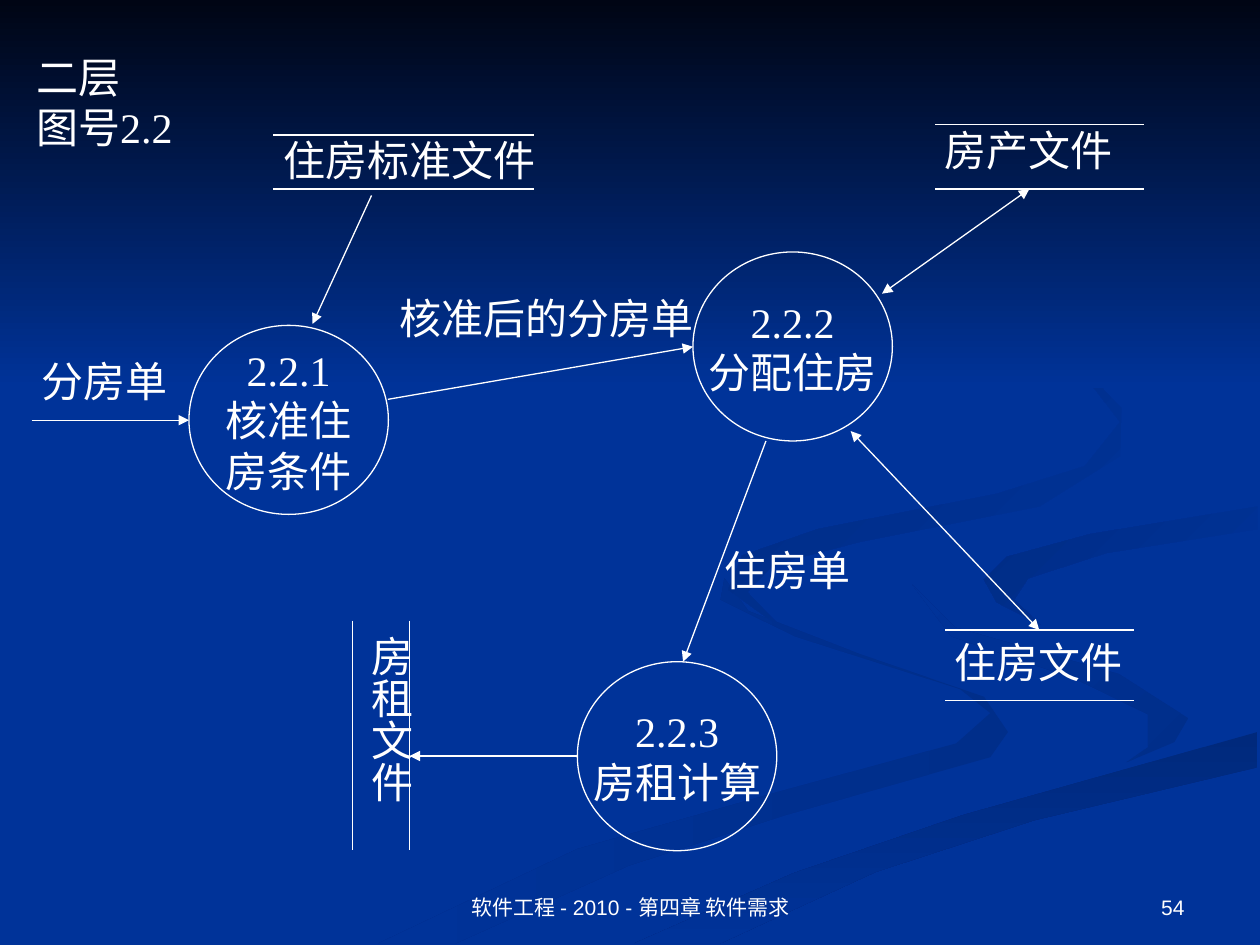
import dataclasses

import lxml.etree
import pptx
import pptx.dml.color
import pptx.enum.shapes
import pptx.enum.text
import pptx.oxml.ns
import pptx.util

Cm = pptx.util.Cm
ALIGN = pptx.enum.text.PP_ALIGN
ANCHOR = pptx.enum.text.MSO_ANCHOR
SHAPE = pptx.enum.shapes.MSO_SHAPE
COLOURS = {"ground": "003399", "night": "000514", "ink": "FFFFFF",
           "shade": "002E8A", "deep": "00297C", "dim": "002C85", "dusk": "002B81"}
RIBBON_GRID = 1000
RIBBONS = [
    ("shade", "ground", 180, [
        (781, 553), (682, 519), (594, 485), (575, 459), (572, 476), (631, 505),
        (762, 547), (786, 566), (759, 590), (616, 629), (458, 674), (300, 749),
        (361, 749), (499, 687), (623, 647), (786, 601), (800, 581)]),
    ("shade", "ground", 225, [
        (943, 570), (888, 535), (758, 498), (724, 464), (755, 505), (854, 539),
        (911, 567), (911, 593), (894, 605), (932, 589)]),
    ("deep", "ground", 90, [
        (503, 749), (571, 749), (695, 692), (821, 651), (998, 609), (998, 581),
        (764, 647), (630, 693)]),
    ("ground", "dim", 225, [
        (781, 460), (791, 478), (826, 496), (805, 476), (816, 459), (878, 439),
        (998, 420), (998, 402), (865, 424), (799, 442)]),
    ("ground", "dusk", 225, [
        (683, 430), (825, 402), (889, 362), (890, 324), (843, 275), (762, 233),
        (846, 279), (889, 335), (861, 370), (791, 392), (649, 420), (589, 441),
        (578, 468), (622, 500), (593, 470), (614, 448)]),
]


@dataclasses.dataclass
class Box:
    """Hold a place and a size in centimetres."""
    left: float
    top: float
    width: float
    height: float

    def lengths(self):
        """Return the four measures as slide lengths."""
        return [Cm(value) for value in dataclasses.astuple(self)]


def colour(name):
    """Return a named colour."""
    return pptx.dml.color.RGBColor.from_string(COLOURS[name])


def paint_gradient(shape, first, last, angle):
    """Fill an unlined shape with a clockwise-angled two-stop gradient."""
    shape.shadow.inherit = False
    shape.line.fill.background()
    shape.fill.gradient()
    shape.fill.gradient_angle = (360 - angle) % 360
    for stop, name, position in zip(shape.fill.gradient_stops, (first, last), (0, 1)):
        stop.color.rgb = colour(name)
        stop.position = position


def write(shape, text, size=24, font="Times New Roman", align=ALIGN.LEFT,
          anchor=ANCHOR.TOP, wrap=False):
    """Set the text of a shape and format each run."""
    frame = shape.text_frame
    frame.text = text
    frame.word_wrap = wrap
    frame.vertical_anchor = anchor
    for para in frame.paragraphs:
        para.alignment = align
        for span in para.runs:
            span.font.size = pptx.util.Pt(size)
            span.font.name = font
            span.font.color.rgb = colour("ink")


def add_label(page, box, text, **style):
    """Place a text box and return it."""
    label = page.shapes.add_textbox(*box.lengths())
    write(label, text, **style)
    return label


def name_box(left, top, text):
    """Return the box that fits a one-line name."""
    return Box(left, top, 0.85 * len(text) + 0.5, 1.27)


def add_line(page, start, end, heads=()):
    """Draw a thin line with arrowheads at the named ends."""
    line = page.shapes.add_connector(
        pptx.enum.shapes.MSO_CONNECTOR.STRAIGHT, *[Cm(value) for value in start + end])
    line.line.color.rgb = colour("ink")
    line.line.width = pptx.util.Pt(0.75)
    outline = line.element.spPr.find(pptx.oxml.ns.qn("a:ln"))
    for head in heads:
        lxml.etree.SubElement(outline, pptx.oxml.ns.qn(f"a:{head}"), type="triangle")
    lxml.etree.SubElement(line.element.spPr, pptx.oxml.ns.qn("a:effectLst"))


def add_backdrop(page, box):
    """Lay the ground colour, the ribbons and the dark upper band."""
    page.background.fill.solid()
    page.background.fill.fore_color.rgb = colour("ground")
    left, top, width, _ = box.lengths()
    for first, last, angle, points in RIBBONS:
        builder = page.shapes.build_freeform(*points[0], scale=width / RIBBON_GRID)
        builder.add_line_segments(points[1:], close=True)
        paint_gradient(builder.convert_to_shape(left, top), first, last, angle)
    sky = Box(box.left, box.top, box.width, 7.82)
    band = page.shapes.add_shape(SHAPE.RECTANGLE, *sky.lengths())
    paint_gradient(band, "night", "ground", 90)


def add_process(page, box, text):
    """Draw a process circle with its number and name."""
    circle = page.shapes.add_shape(SHAPE.OVAL, *box.lengths())
    circle.shadow.inherit = False
    circle.fill.background()
    circle.line.color.rgb = colour("ink")
    circle.line.width = pptx.util.Pt(0.75)
    write(circle, text, align=ALIGN.CENTER, anchor=ANCHOR.MIDDLE)


def add_store(page, box, text, rules, length):
    """Draw a data store: a name between two level rules."""
    add_label(page, box, text)
    left = box.left + 0.05
    for offset in rules:
        top = box.top + offset
        add_line(page, (left, top), (left + length, top))


def add_upright_store(page, box, text, rules, length):
    """Draw a data store: a vertical name between two upright rules."""
    label = add_label(page, box, text)
    frame = label.text_frame
    frame.margin_left = frame.margin_right = Cm(0.13)
    frame.margin_top = frame.margin_bottom = Cm(0.25)
    label.element.txBody.bodyPr.set("vert", "eaVert")
    top = box.top - 0.06
    for offset in rules:
        left = box.left + offset
        add_line(page, (left, top), (left, top + length))


def add_diagram(page):
    """Place the processes, stores, flows and flow names."""
    for left, top, text in [(3.81, 6.56, "2.2.1\n核准住\n房条件"),
                            (11.64, 13.34, "2.2.3\n房租计算"),
                            (13.97, 5.08, "2.2.2\n分配住房")]:
        add_process(page, Box(left, top, 4.02, 3.81), text)
    for left, top, text, rules, length in [
            (5.46, 2.59, "住房标准文件", (0.13, 1.22), 5.25),
            (18.8, 2.39, "房产文件", (0.12, 1.42), 4.21),
            (19, 12.7, "住房文件", (0, 1.42), 3.81)]:
        add_store(page, name_box(left, top, text), text, rules, length)
    add_upright_store(page, Box(7.01, 12.57, 1.52, 3.66), "房租文件", (0.1, 1.25), 4.63)
    for start, end in [((0.64, 8.47), (3.81, 8.47)), ((7.82, 8.05), (13.97, 6.99)),
                       ((15.44, 8.89), (13.77, 13.34)), ((11.64, 15.24), (8.26, 15.24)),
                       ((7.49, 3.94), (6.3, 6.53))]:
        add_line(page, start, end, ["tailEnd"])
    for start, end in [((17.78, 5.92), (20.75, 3.81)), ((17.15, 8.69), (20.95, 12.7))]:
        add_line(page, start, end, ["headEnd", "tailEnd"])
    for left, top, text in [(0.58, 7.04, "分房单"), (7.8, 5.77, "核准后的分房单"),
                            (14.35, 10.85, "住房单")]:
        add_label(page, name_box(left, top, text), text)


def add_footer(page, box):
    """Place the course line and the page number."""
    style = {"size": 12, "font": "Arial", "anchor": ANCHOR.BOTTOM, "wrap": True}
    add_label(page, Box(box.left + 8.69, box.top, 8.05, box.height),
              "软件工程 - 2010 - 第四章 软件需求", align=ALIGN.CENTER, **style)
    add_label(page, Box(box.left + 18.21, box.top, 5.92, box.height),
              "54", align=ALIGN.RIGHT, **style)


def main():
    """Build the deck and save it."""
    deck = pptx.Presentation()
    deck.slide_width, deck.slide_height = Cm(25.4), Cm(19.05)
    page = deck.slides.add_slide(deck.slide_layouts[6])
    add_backdrop(page, Box(0, 0, 25.4, 19.05))
    add_label(page, Box(0.48, 0.91, 3.45, 2.29), "二层\n图号2.2")
    add_diagram(page)
    add_footer(page, Box(0, 17.35, 25.4, 1.32))
    deck.save("out.pptx")


if __name__ == "__main__":
    main()
